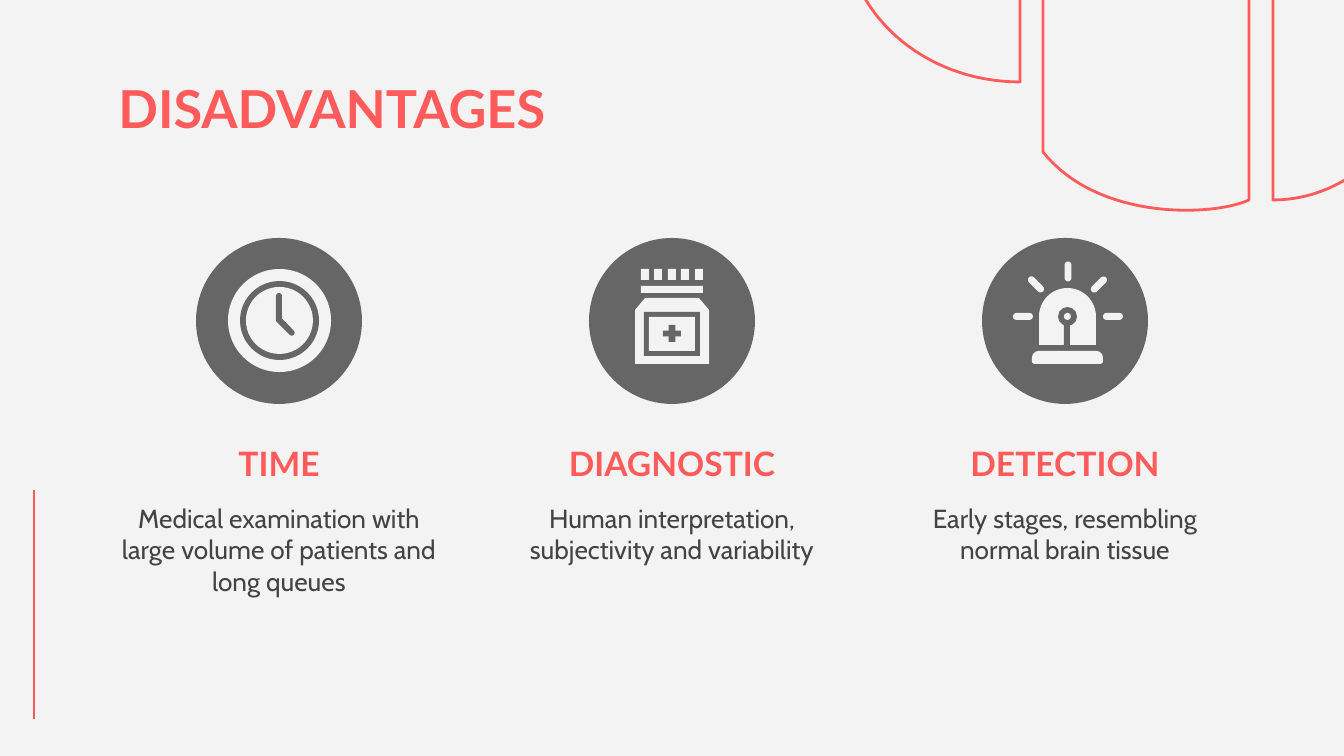
import pptx
import pptx.util
import pptx.dml.color
import pptx.enum.shapes
import pptx.enum.text
import pptx.oxml.ns
import lxml.etree

PX = 914400 / 134.4
CORAL, DARK, LIGHT, INK = "FF5B5B", "666666", "F3F3F3", "434343"
color = pptx.dml.color.RGBColor.from_string
MSO = pptx.enum.shapes.MSO_SHAPE


def add_part(kind, box, fill, rot=0, adj=()):
    sp = s.shapes.add_shape(kind, *[round(v * PX) for v in box])
    sp.shadow.inherit = False
    sp.fill.solid()
    sp.fill.fore_color.rgb = color(fill)
    sp.line.fill.background()
    sp.rotation = rot
    for i, v in enumerate(adj):
        sp.adjustments[i] = v


def set_text(sp, box, text, size, font, hue, bold, align):
    sp.left, sp.top, sp.width, sp.height = [round(v * PX) for v in box]
    tf = sp.text_frame
    tf.word_wrap = True
    tf.auto_size = pptx.enum.text.MSO_AUTO_SIZE.NONE
    tf.vertical_anchor = pptx.enum.text.MSO_ANCHOR.TOP
    tf.margin_left = tf.margin_right = tf.margin_top = tf.margin_bottom = pptx.util.Inches(0.1)
    p = tf.paragraphs[0]
    p.alignment = align
    r = p.add_run()
    r.text = text
    r.font.size = pptx.util.Pt(size)
    r.font.name = font
    r.font.bold = bold
    r.font.color.rgb = color(hue)


prs = pptx.Presentation()
prs.slide_width, prs.slide_height = round(1344 * PX), round(756 * PX)
s = prs.slides.add_slide(prs.slide_layouts[5])
s.background.fill.solid()
s.background.fill.fore_color.rgb = color(LIGHT)

right_arc = [(1273, 200), (1361, 200, 1434, 116, 1434, 11), (1434, -93, 1361, -177, 1273, -177)]
left_arc = [(1020, 82), (923, 82, 845, 12, 845, -74), (845, -160, 923, -230, 1020, -230)]
middle_arc = [(1249, 200), (1215, 216, 1099, 222, 1043, 152), (1043, -126),
              (1067, -176, 1176, -202, 1249, -177)]
bottle = [(645, 298), (635, 310), (635, 364), (709, 364), (709, 310), (699, 298)]

for name, outline in (("arc", right_arc), ("arc", left_arc), ("arc", middle_arc)):
    pts = [outline[0]]
    for seg in outline[1:]:
        if len(seg) == 2:
            pts.append(seg)
            continue
        x0, y0 = pts[-1]
        x1, y1, x2, y2, x3, y3 = seg
        for i in range(1, 33):
            t = i / 32
            a, b, c, d = (1 - t) ** 3, 3 * t * (1 - t) ** 2, 3 * t * t * (1 - t), t ** 3
            pts.append((a * x0 + b * x1 + c * x2 + d * x3, a * y0 + b * y1 + c * y2 + d * y3))
    fb = s.shapes.build_freeform(round(pts[0][0] * PX), round(pts[0][1] * PX))
    fb.add_line_segments([(round(x * PX), round(y * PX)) for x, y in pts[1:]])
    sp = fb.convert_to_shape()
    sp.shadow.inherit = False
    sp.fill.background()
    sp.line.color.rgb = color(CORAL)
    sp.line.width = pptx.util.Pt(1.5)

rule = s.shapes.add_connector(pptx.enum.shapes.MSO_CONNECTOR.STRAIGHT,
                              *[round(v * PX) for v in (34, 719, 34, 490)])
rule.line.color.rgb = color(CORAL)
rule.line.width = pptx.util.Pt(1.5)
lxml.etree.SubElement(rule._element.spPr, pptx.oxml.ns.qn("a:effectLst"))

ALIGN = pptx.enum.text.PP_ALIGN
set_text(s.shapes.title, (105, 63, 1134, 69), "DISADVANTAGES", 28, "Lato", CORAL, True, ALIGN.LEFT)

columns = [
    ("TIME", "Medical examination with large volume of patients and long queues"),
    ("DIAGNOSTIC", "Human interpretation, subjectivity and variability"),
    ("DETECTION", "Early stages, resembling normal brain tissue"),
]
for i, (heading, body) in enumerate(columns):
    x = 105 + 393 * i
    set_text(s.shapes.add_textbox(0, 0, 0, 0), (x, 489, 348, 114), body, 14, "Cabin", INK, False, ALIGN.CENTER)
    set_text(s.shapes.add_textbox(0, 0, 0, 0), (x, 430, 348, 69), heading, 18, "Lato", CORAL, True, ALIGN.CENTER)
    add_part(MSO.OVAL, (x + 91, 238, 166, 166), DARK)

for x, y, d, fill in ((228, 269, 103, LIGHT), (240, 281, 79, DARK), (246, 287, 67, LIGHT)):
    add_part(MSO.OVAL, (x, y, d, d), fill)
add_part(MSO.ROUNDED_RECTANGLE, (276, 293, 6, 30), DARK, 0, [0.5])
add_part(MSO.ROUNDED_RECTANGLE, (275, 324, 22, 6), DARK, 45, [0.5])

fb = s.shapes.build_freeform(*[round(v * PX) for v in bottle[0]])
fb.add_line_segments([(round(x * PX), round(y * PX)) for x, y in bottle[1:]])
sp = fb.convert_to_shape()
sp.shadow.inherit = False
sp.fill.solid()
sp.fill.fore_color.rgb = color(LIGHT)
sp.line.fill.background()
for i in range(5):
    add_part(MSO.RECTANGLE, (641 + 27 * i // 2, 269, 8, 11), LIGHT)
for box, fill in (((641, 286, 62, 7), LIGHT), ((644, 312, 56, 44), DARK), ((649, 317, 46, 34), LIGHT)):
    add_part(MSO.RECTANGLE, box, fill)
add_part(MSO.CROSS, (663, 325, 18, 17), DARK, 0, [0.33])

add_part(MSO.ROUND_2_SAME_RECTANGLE, (1039, 288, 57, 57), LIGHT, 0, [0.5, 0])
add_part(MSO.ROUND_2_SAME_RECTANGLE, (1032, 351, 71, 13), LIGHT, 0, [0.5, 0.2])
add_part(MSO.RECTANGLE, (1064, 323, 6, 22), DARK)
add_part(MSO.OVAL, (1058, 307, 19, 19), DARK)
add_part(MSO.OVAL, (1064, 313, 7, 7), LIGHT)
for x, y, rot in ((1013, 313, 0), (1026, 281, 45), (1058, 268, 90), (1089, 281, -45), (1103, 313, 0)):
    add_part(MSO.ROUNDED_RECTANGLE, (x, y, 20, 7), LIGHT, rot, [0.5])

prs.save("out.pptx")
